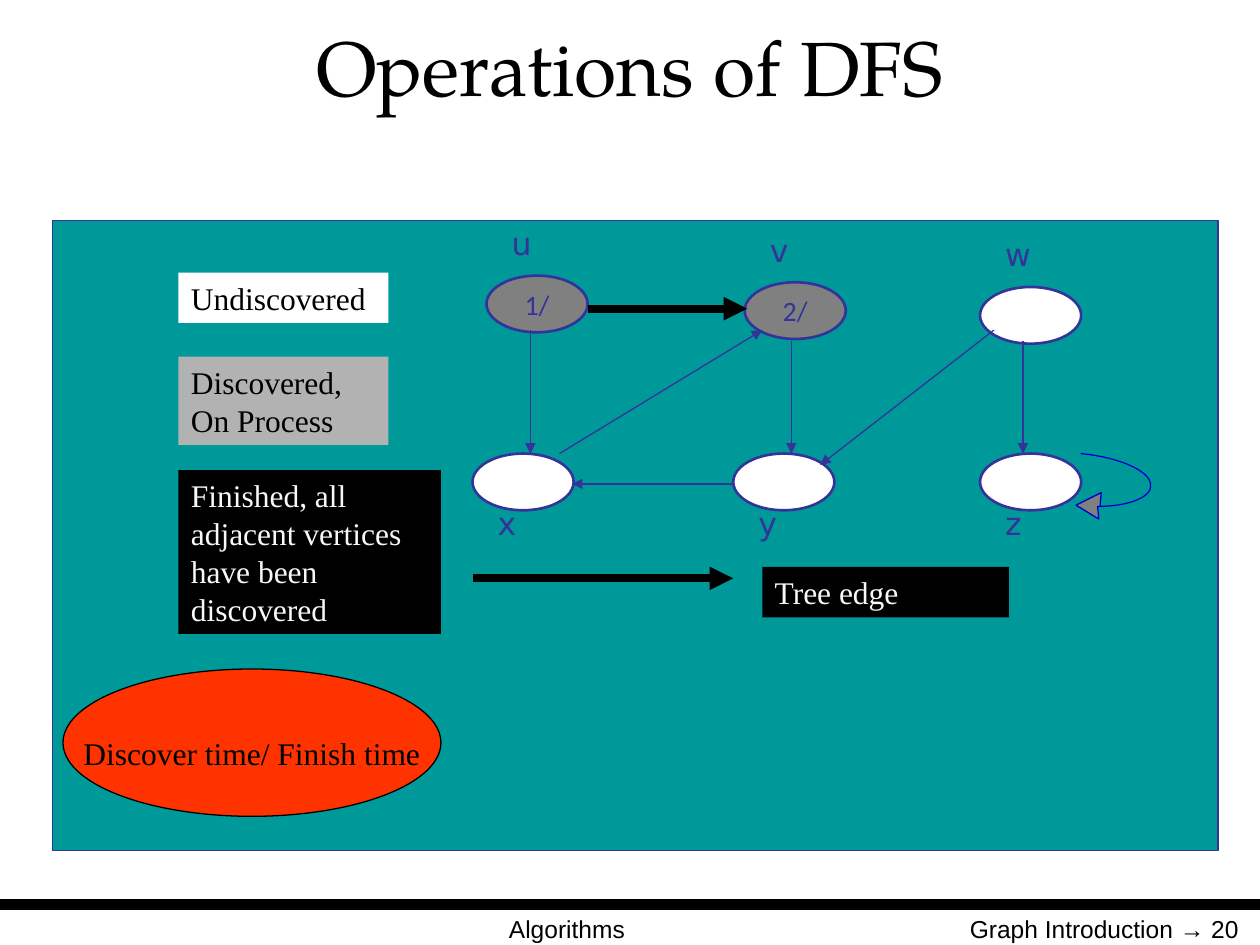
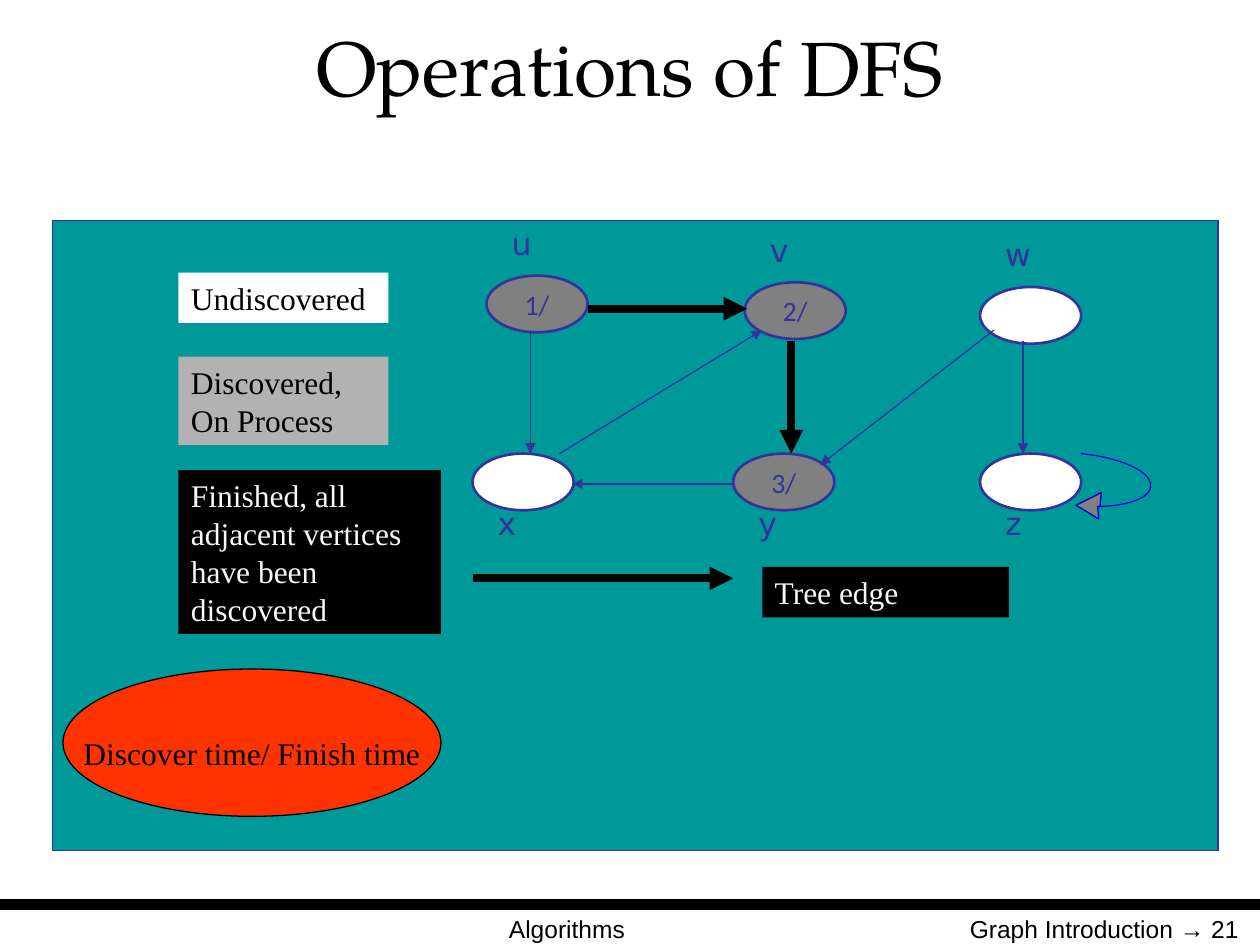
from dataclasses import dataclass

import pptx
import pptx.dml.color
import pptx.enum.shapes
import pptx.enum.text
import pptx.oxml
import pptx.oxml.ns
import pptx.util

Pt = pptx.util.Pt
SHAPE = pptx.enum.shapes.MSO_SHAPE
ALIGN = pptx.enum.text.PP_ALIGN
ANCHOR = pptx.enum.text.MSO_ANCHOR


@dataclass(frozen=True)
class Theme:
    """Colours, fonts and type sizes shared by the slides."""
    black: str = "000000"
    white: str = "FFFFFF"
    pale: str = "F8F8F8"
    panel: str = "009999"
    edge: str = "333399"
    active: str = "808080"
    process: str = "B2B2B2"
    time: str = "FF3300"
    loop: str = "0000CC"
    title_font: str = "TeX Gyre Pagella"
    footer_font: str = "Arial"
    legend_font: str = "Times New Roman"
    label_font: str = "DejaVu Sans"
    node_font: str = "Calibri"
    title_size: int = 44
    text_size: int = 18
    node_size: int = 16
    footer_size: int = 14


THEME = Theme()
NODE_W, NODE_H = 57.8, 32.4
TREE_WIDTH = 4.5
NODES = {
    "x": (240, 133.2), "z": (530, 133.2), "y": (389, 133.2),
    "w": (530, 38), "v": (395.5, 35.3), "u": (248, 31.5),
}
EDGES = {
    "uv": (306.2, 50.4, 397, 50.4), "yx": (388.3, 150.5, 296.9, 150.5),
    "vy": (422.2, 69.1, 422.2, 133.2), "ux": (273.1, 62.6, 273.1, 133.2),
    "wz": (554.6, 69.1, 554.6, 133.2), "wy": (538, 62.6, 438.7, 139.7),
    "xv": (289.7, 133.2, 405.6, 62.6),
}
LEGEND = [
    ("Undiscovered", (72, 29.8, 120, 28.8), THEME.white, THEME.black),
    ("Discovered, On Process", (72, 77.8, 120, 50.4), THEME.process, THEME.black),
    ("Finished, all adjacent vertices have been discovered",
     (72, 142.6, 150, 93.6), THEME.black, THEME.pale),
    ("Tree edge", (405.6, 198, 141, 28.8), THEME.black, THEME.pale),
]
STEPS = [
    (20, {"u": "1/", "v": "2/"}, {"uv"}),
    (21, {"u": "1/", "v": "2/", "y": "3/"}, {"uv", "vy"}),
]


def rgb(value):
    """Turn a hex string into a colour."""
    return pptx.dml.color.RGBColor.from_string(value)


def write(sp, text, *, font, size, color=THEME.black, align=ALIGN.LEFT,
          anchor=ANCHOR.TOP, wrap=True, left=7.2, top=3.6):
    """Write one formatted paragraph into a shape."""
    tf = sp.text_frame
    tf.auto_size = pptx.enum.text.MSO_AUTO_SIZE.NONE
    tf.word_wrap = wrap
    tf.vertical_anchor = anchor
    tf.margin_left, tf.margin_top = Pt(left), Pt(top)
    p = tf.paragraphs[0]
    p.alignment = align
    r = p.add_run()
    r.text = text
    r.font.name, r.font.size = font, Pt(size)
    r.font.color.rgb = rgb(color)


def paint(sp, fill, line=None, width=0.75):
    """Set the fill and outline of a shape and drop its shadow."""
    sp.shadow.inherit = False
    sp.fill.solid()
    sp.fill.fore_color.rgb = rgb(fill)
    if line:
        sp.line.color.rgb = rgb(line)
        sp.line.width = Pt(width)
    else:
        sp.line.fill.background()


def add_shape(slide, kind, box, fill, line=None, width=0.75):
    """Add a painted preset shape."""
    sp = slide.shapes.add_shape(kind, *map(Pt, box))
    paint(sp, fill, line, width)
    return sp


def add_text(slide, text, box, **fmt):
    """Add a text box holding one paragraph."""
    write(slide.shapes.add_textbox(*map(Pt, box)), text, **fmt)


def add_line(slide, ends, color, width, arrow=True):
    """Add a straight line, with an arrowhead at its end if wanted."""
    sp = slide.shapes.add_connector(
        pptx.enum.shapes.MSO_CONNECTOR.STRAIGHT, *map(Pt, ends))
    sp.line.color.rgb = rgb(color)
    sp.line.width = Pt(width)
    if arrow:
        pptx.oxml.ns.qn("a:tailEnd")
        head = sp.line._get_or_add_ln().makeelement(
            pptx.oxml.ns.qn("a:tailEnd"), {"type": "triangle"})
        sp.line._get_or_add_ln().append(head)
    props = sp.element.spPr
    props.append(props.makeelement(pptx.oxml.ns.qn("a:effectLst"), {}))


def shift(box, x, y):
    """Move a box by the given offset."""
    return (box[0] + x, box[1] + y, *box[2:])


def cubic(a, b, c, d, steps=16):
    """Return points along a cubic curve."""
    weights = [((1 - t) ** 3, 3 * t * (1 - t) ** 2, 3 * t * t * (1 - t), t ** 3)
               for t in (i / steps for i in range(steps + 1))]
    return [tuple(sum(w * q[axis] for w, q in zip(ws, (a, b, c, d)))
                  for axis in (0, 1)) for ws in weights]


def draw_title(slide, box):
    """Fill and place the slide title."""
    sp = slide.shapes.title
    sp.left, sp.top, sp.width, sp.height = map(Pt, box)
    write(sp, "Operations of DFS", font=THEME.title_font, size=THEME.title_size,
          align=ALIGN.CENTER, anchor=ANCHOR.MIDDLE)


def draw_footer(slide, number, box):
    """Draw the bottom rule, course name and page mark."""
    x, y, w, h = box
    add_line(slide, (x, y, x + w, y), THEME.black, 6, arrow=False)
    fmt = dict(font=THEME.footer_font, size=THEME.footer_size)
    add_text(slide, "Algorithms", (x + 210, y + 1.5, 228, h),
             align=ALIGN.CENTER, **fmt)
    add_text(slide, f"Graph Introduction → {number}", (x + 517, y + 1.5, 198, h),
             align=ALIGN.RIGHT, **fmt)


def draw_self_loop(slide, x, y):
    """Draw the curved arrow that returns to its own vertex."""
    arc = (cubic((0, 0), (23, 2.2), (41, 10.8), (39.6, 18.7))
           + cubic((39.6, 19.4), (38.9, 25.2), (26.6, 30.2), (9.4, 30.2)))
    head = [(10.1, 37.4), (-2.9, 29.5), (11.5, 22.3), (10.8, 30.2)]
    points = [(Pt(x + dx), Pt(y + dy)) for dx, dy in arc + head + arc[-2::-1]]
    builder = slide.shapes.build_freeform(*points[0])
    builder.add_line_segments(points[1:])
    paint(builder.convert_to_shape(), THEME.active, THEME.loop)


def draw_node(slide, name, time, x, y, label_dy):
    """Draw one vertex with its name and discovery time."""
    sp = add_shape(slide, SHAPE.OVAL, (x, y, NODE_W, NODE_H),
                   THEME.active if time else THEME.white, THEME.edge, 1.5)
    if time:
        write(sp, time, font=THEME.node_font, size=THEME.node_size,
              color=THEME.edge, align=ALIGN.CENTER, anchor=ANCHOR.MIDDLE, wrap=False)
    add_text(slide, name, (x + 1.5, y + label_dy, NODE_W, 28.8),
             font=THEME.label_font, size=THEME.text_size, color=THEME.edge, left=12.9)


def draw_graph(slide, times, tree, box):
    """Draw the vertices and edges, with tree edges heavy."""
    left, top = box[:2]
    draw_self_loop(slide, left + NODES["z"][0] + NODE_W, top + NODES["z"][1])
    for name, (x, y) in NODES.items():
        draw_node(slide, name, times.get(name), left + x, top + y,
                  25.2 if name in "xyz" else -33)
    for name, (x1, y1, x2, y2) in EDGES.items():
        style = (THEME.black, TREE_WIDTH) if name in tree else (THEME.edge, 0.75)
        add_line(slide, (left + x1, top + y1, left + x2, top + y2), *style)


def draw_legend(slide, box):
    """Draw the colour key, tree edge sample and time note."""
    left, top = box[:2]
    fmt = dict(font=THEME.legend_font, size=THEME.text_size)
    add_line(slide, (left + 240, top + 204.5, left + 389, top + 204.5),
             THEME.black, TREE_WIDTH)
    for text, place, fill, color in LEGEND:
        sp = add_shape(slide, SHAPE.RECTANGLE, shift(place, left, top), fill)
        write(sp, text, color=color, **fmt)
    sp = add_shape(slide, SHAPE.OVAL, shift((6, 256.3, 216, 84.2), left, top),
                   THEME.time, THEME.black)
    write(sp, "Discover time/ Finish time", align=ALIGN.CENTER,
          anchor=ANCHOR.MIDDLE, wrap=False, top=14.8, **fmt)


def draw_step(prs, number, times, tree):
    """Add one slide showing a step of the search."""
    slide = prs.slides.add_slide(prs.slide_layouts[5])
    panel = (30, 126, 666, 360)
    draw_title(slide, (3.6, 5, 712.8, 64.8))
    draw_footer(slide, number, (0, 517, 720, 37.4))
    add_shape(slide, SHAPE.RECTANGLE, panel, THEME.panel, THEME.edge)
    draw_graph(slide, times, tree, panel)
    draw_legend(slide, panel)


def main():
    """Build and save the presentation."""
    prs = pptx.Presentation()
    prs.slide_width, prs.slide_height = Pt(720), Pt(540)
    for number, times, tree in STEPS:
        draw_step(prs, number, times, tree)
    prs.save("out.pptx")


if __name__ == "__main__":
    main()
